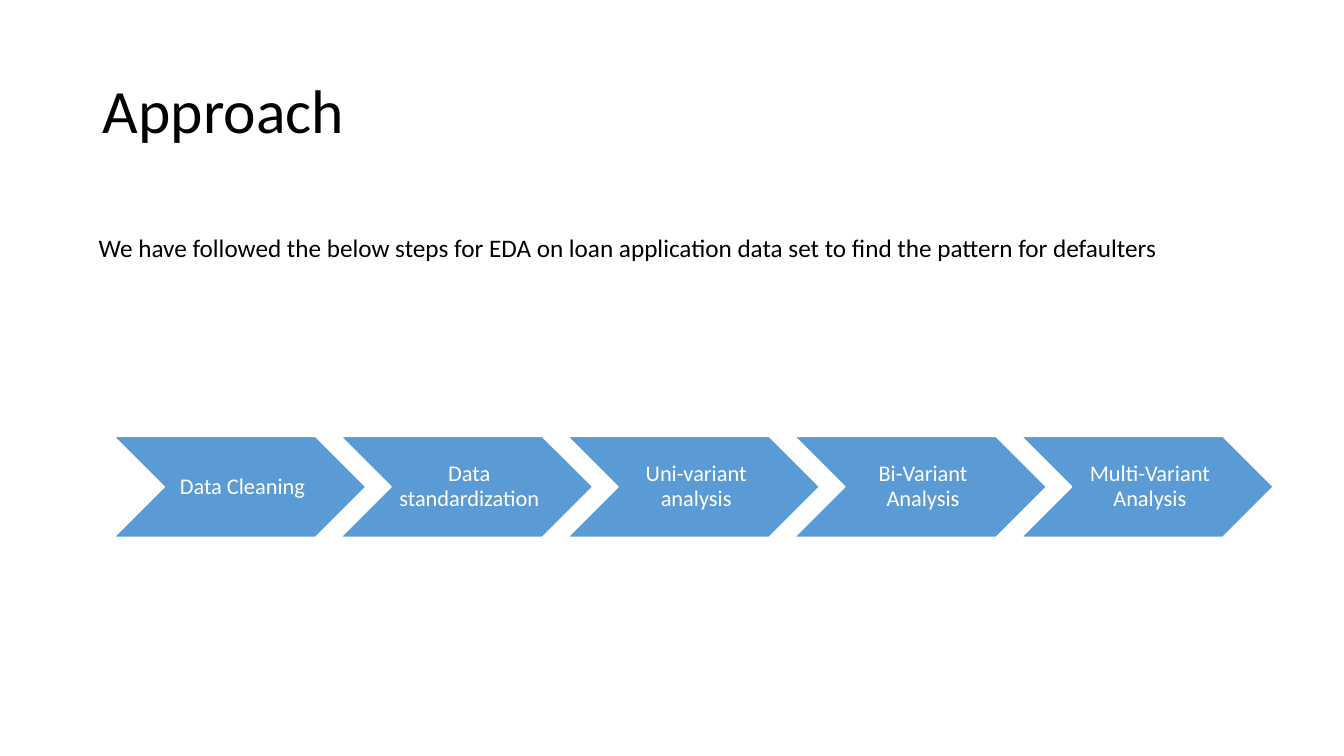
from dataclasses import dataclass

from pptx import Presentation
from pptx.dml.color import RGBColor
from pptx.enum.shapes import MSO_SHAPE
from pptx.enum.text import MSO_ANCHOR, PP_ALIGN
from pptx.util import Inches, Pt


@dataclass(frozen=True)
class Theme:
    """Colours, font and type sizes of the slide."""
    font: str = "Calibri"
    text: RGBColor = RGBColor(0x00, 0x00, 0x00)
    light: RGBColor = RGBColor(0xFF, 0xFF, 0xFF)
    accent: RGBColor = RGBColor(0x5B, 0x9B, 0xD5)
    title_size: int = 44
    body_size: int = 18
    step_size: int = 16


THEME = Theme()
STEPS = [
    "Data Cleaning",
    "Data standardization",
    "Uni-variant analysis",
    "Bi-Variant Analysis",
    "Multi-Variant Analysis",
]


def write_text(frame, text, size, color, alignment=PP_ALIGN.LEFT, line_spacing=1.0):
    """Write one formatted paragraph into a text frame."""
    frame.word_wrap = True
    paragraph = frame.paragraphs[0]
    paragraph.text = text
    paragraph.alignment = alignment
    paragraph.line_spacing = line_spacing
    paragraph.font.name = THEME.font
    paragraph.font.size = Pt(size)
    paragraph.font.color.rgb = color


def add_title(slide, text, left, top, width, height):
    """Place the title placeholder in its box."""
    title = slide.shapes.title
    title.left, title.top = Inches(left), Inches(top)
    title.width, title.height = Inches(width), Inches(height)
    title.text_frame.vertical_anchor = MSO_ANCHOR.MIDDLE
    write_text(title.text_frame, text, THEME.title_size, THEME.text, line_spacing=0.9)


def add_introduction(slide, text, left, top, width, height):
    """Add the sentence that introduces the steps."""
    box = slide.shapes.add_textbox(Inches(left), Inches(top), Inches(width), Inches(height))
    write_text(box.text_frame, text, THEME.body_size, THEME.text)


def add_step(slide, text, left, top, width, height):
    """Add one labelled chevron."""
    chevron = slide.shapes.add_shape(
        MSO_SHAPE.CHEVRON, Inches(left), Inches(top), Inches(width), Inches(height))
    chevron.shadow.inherit = False
    chevron.fill.solid()
    chevron.fill.fore_color.rgb = THEME.accent
    chevron.line.color.rgb = THEME.light
    chevron.line.width = Pt(1)
    frame = chevron.text_frame
    frame.vertical_anchor = MSO_ANCHOR.MIDDLE
    frame.margin_left = Inches(0.07)
    frame.margin_top = frame.margin_right = frame.margin_bottom = Inches(0.02)
    write_text(frame, text, THEME.step_size, THEME.light, PP_ALIGN.CENTER, 0.9)


def add_process(slide, steps, left, top, width, height):
    """Spread chevrons evenly across the box, each nesting into the next."""
    step_width = 2.5 * height
    pitch = (width - step_width) / (len(steps) - 1)
    for index, step in enumerate(steps):
        add_step(slide, step, left + index * pitch, top, step_width, height)


def main():
    """Build and save the presentation."""
    presentation = Presentation()
    presentation.slide_width = Inches(13.33)
    presentation.slide_height = Inches(7.5)
    slide = presentation.slides.add_slide(presentation.slide_layouts[5])
    add_title(slide, "Approach", 0.92, 0.4, 11.5, 1.45)
    add_process(slide, STEPS, 1.13, 4.33, 11.5, 1)
    add_introduction(
        slide,
        "We have followed the below steps for EDA on loan application data set "
        "to find the pattern for defaulters",
        0.88, 2.26, 11.47, 0.4)
    presentation.save("out.pptx")


if __name__ == "__main__":
    main()
